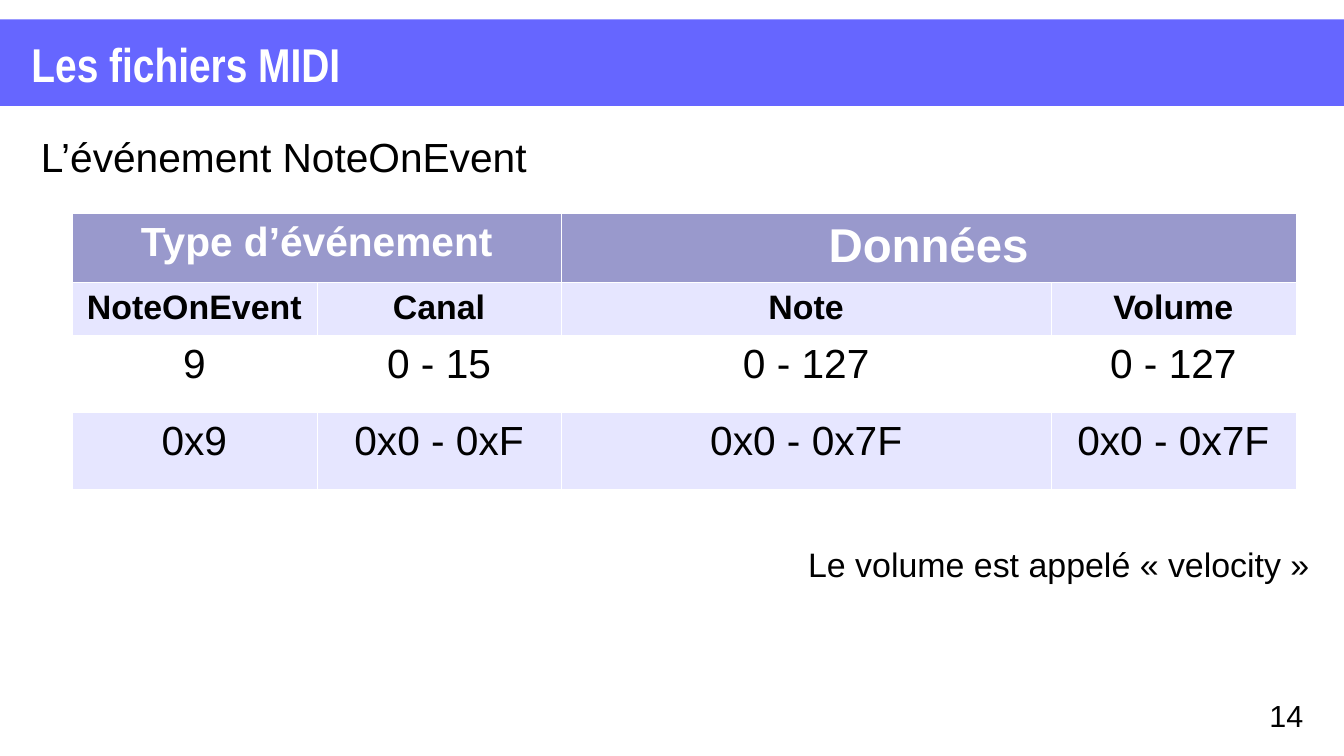
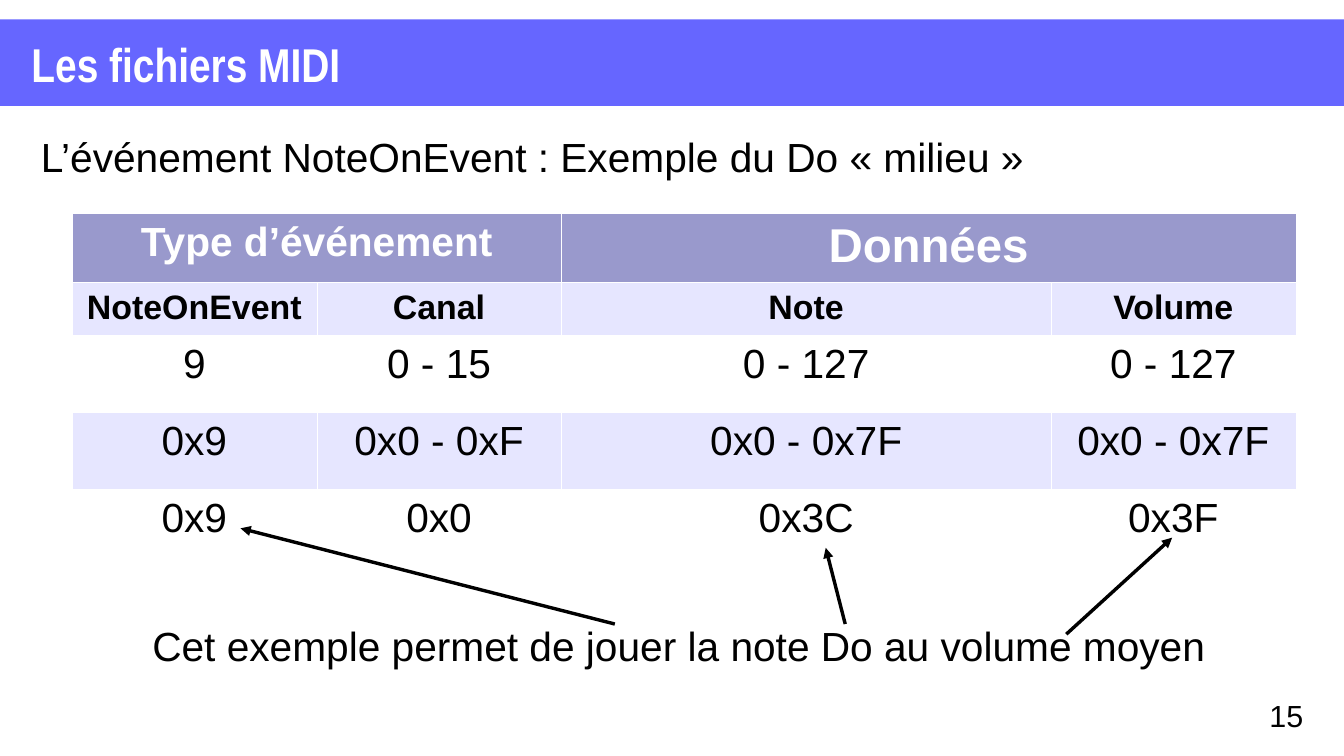
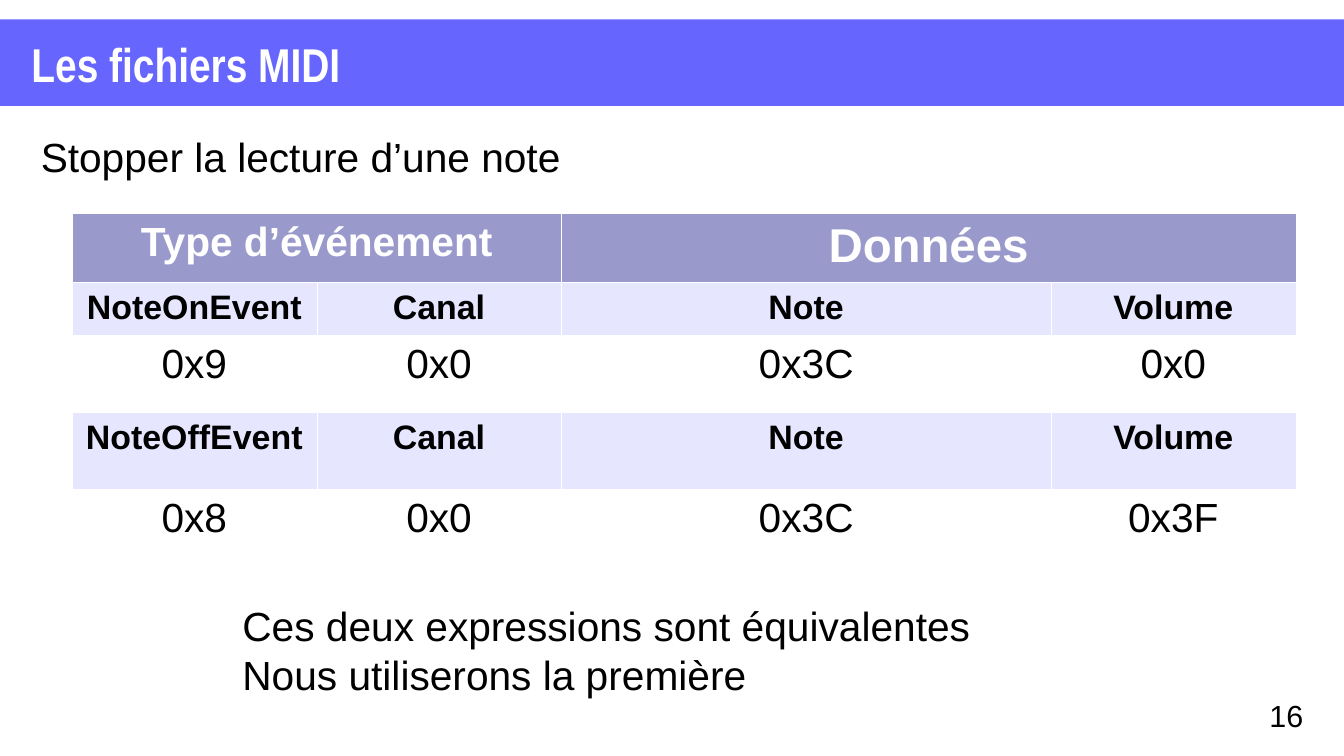
"""Build three slides on the MIDI NoteOnEvent."""
from lxml import etree
from pptx import Presentation
from pptx.dml.color import RGBColor
from pptx.enum import shapes, text
from pptx.oxml import ns
from pptx.util import Pt

WIDTH, HEIGHT = 793.44, 446.4
BLACK, WHITE = "000000", "FFFFFF"
BAND, HEADER, LILAC = "6666FF", "9999CC", "E6E6FF"
BODY_FONT, TITLE_FONT = "Arial", "Arial Narrow"

TITLE = "Les fichiers MIDI"
FIRST_PAGE = 14
GROUPS = [("Type d’événement", 24, 0), ("Données", 28, 2)]
COLUMN_WIDTHS = [144.5, 144.5, 289, 144.5]
HEADER_HEIGHT, LABEL_HEIGHT, ROW_HEIGHT = 40.5, 31, 45.5
TABLE_LEFT, TABLE_TOP = 42.5, 126

FIELDS = ["Canal", "Note", "Volume"]
NOTE_ON = ["NoteOnEvent", *FIELDS]
NOTE_OFF = ["NoteOffEvent", *FIELDS]
RANGES = [["9", "0 - 15", "0 - 127", "0 - 127"],
          ["0x9", "0x0 - 0xF", "0x0 - 0x7F", "0x0 - 0x7F"]]

SLIDES = [
    {"heading": "L’événement NoteOnEvent",
     "rows": [NOTE_ON, *RANGES],
     "remark": (["Le volume est appelé « velocity »"], 20, (470, 317.5, 318)),
     "arrows": []},
    {"heading": "L’événement NoteOnEvent : Exemple du Do « milieu »",
     "rows": [NOTE_ON, *RANGES, ["0x9", "0x0", "0x3C", "0x3F"]],
     "remark": (["Cet exemple permet de jouer la note Do au volume moyen"],
                24, (82.8, 363, 660)),
     "arrows": [((499, 368.5), (487.5, 323.5)),
                ((629.5, 374.5), (692, 317.5)),
                ((363, 368.5), (142, 312))]},
    {"heading": "Stopper la lecture d’une note",
     "rows": [NOTE_ON, ["0x9", "0x0", "0x3C", "0x0"],
              NOTE_OFF, ["0x8", "0x0", "0x3C", "0x3F"]],
     "remark": (["Ces deux expressions sont équivalentes",
                 "Nous utiliserons la première"], 24, (136, 351.5, 480)),
     "arrows": []},
]


def colour(value):
    """Return the colour for a hex string."""
    return RGBColor.from_string(value)


def write(paragraph, words, size, ink=BLACK, bold=False, font=BODY_FONT):
    """Add one formatted run to a paragraph."""
    run = paragraph.add_run()
    run.text = words
    run.font.name, run.font.size, run.font.bold = font, Pt(size), bold
    run.font.color.rgb = colour(ink)


def add_text(slide, lines, size, place, height=34, **style):
    """Add a text box with one paragraph per line."""
    left, top, width = place
    box = slide.shapes.add_textbox(Pt(left), Pt(top), Pt(width), Pt(height))
    frame = box.text_frame
    frame.word_wrap = True
    for index, line in enumerate(lines):
        paragraph = frame.add_paragraph() if index else frame.paragraphs[0]
        write(paragraph, line, size, **style)
    return frame


def add_frame(slide, page):
    """Add the title band, the title and the page number."""
    band = slide.shapes.add_shape(shapes.MSO_SHAPE.RECTANGLE,
                                  0, Pt(11.5), Pt(WIDTH), Pt(51))
    band.shadow.inherit = False
    band.fill.solid()
    band.fill.fore_color.rgb = colour(BAND)
    band.line.fill.background()
    title = add_text(slide, [TITLE], 28, (11.5, 17.5, 770), 39.5,
                     ink=WHITE, bold=True, font=TITLE_FONT)
    title.vertical_anchor = text.MSO_ANCHOR.MIDDLE
    add_text(slide, [str(page)], 18, (742.3, 408.2, 50))


def outline(cell):
    """Give a cell thin white borders."""
    properties = cell._tc.get_or_add_tcPr()
    for index, side in enumerate(("lnL", "lnR", "lnT", "lnB")):
        border = etree.Element(ns.qn(f"a:{side}"), w=str(Pt(0.06)))
        fill = etree.SubElement(border, ns.qn("a:solidFill"))
        etree.SubElement(fill, ns.qn("a:srgbClr"), val=WHITE)
        properties.insert(index, border)


def fill_cell(cell, words, size, ink, bold):
    """Write centred words in a cell."""
    paragraph = cell.text_frame.paragraphs[0]
    paragraph.alignment = text.PP_ALIGN.CENTER
    write(paragraph, words, size, ink, bold)


def add_event_table(slide, rows):
    """Add the event table with its grouped header."""
    heights = [HEADER_HEIGHT, LABEL_HEIGHT] + [ROW_HEIGHT] * (len(rows) - 1)
    table = slide.shapes.add_table(
        len(heights), len(COLUMN_WIDTHS), Pt(TABLE_LEFT), Pt(TABLE_TOP),
        Pt(sum(COLUMN_WIDTHS)), Pt(sum(heights))).table
    table.first_row = table.horz_banding = False
    for column, width in zip(table.columns, COLUMN_WIDTHS):
        column.width = Pt(width)
    for index, height in enumerate(heights):
        table.rows[index].height = Pt(height)
        shade = (LILAC if index % 2 else WHITE) if index else HEADER
        for cell in table.rows[index].cells:
            cell.fill.solid()
            cell.fill.fore_color.rgb = colour(shade)
            outline(cell)
    for words, size, start in GROUPS:
        table.cell(0, start).merge(table.cell(0, start + 1))
        fill_cell(table.cell(0, start), words, size, WHITE, True)
    for index, row in enumerate(rows, 1):
        is_label = row in (NOTE_ON, NOTE_OFF)
        for cell, words in zip(table.rows[index].cells, row):
            fill_cell(cell, words, 20 if is_label else 24, BLACK, is_label)


def add_arrow(slide, start, end):
    """Add a hairline arrow."""
    arrow = slide.shapes.add_connector(
        shapes.MSO_CONNECTOR.STRAIGHT, *map(Pt, start + end))
    arrow.line.color.rgb = colour(BLACK)
    arrow.line.width = Pt(0)
    etree.SubElement(arrow.line._get_or_add_ln(), ns.qn("a:tailEnd"),
                     type="triangle")
    etree.SubElement(arrow._element.spPr, ns.qn("a:effectLst"))


def main():
    """Build and save the slides."""
    deck = Presentation()
    deck.slide_width, deck.slide_height = Pt(WIDTH), Pt(HEIGHT)
    for page, content in enumerate(SLIDES, FIRST_PAGE):
        slide = deck.slides.add_slide(deck.slide_layouts[6])
        add_frame(slide, page)
        add_event_table(slide, content["rows"])
        add_text(slide, [content["heading"]], 24, (17, 74.2, 740))
        add_text(slide, *content["remark"])
        for start, end in content["arrows"]:
            add_arrow(slide, start, end)
    deck.save("out.pptx")


if __name__ == "__main__":
    main()
